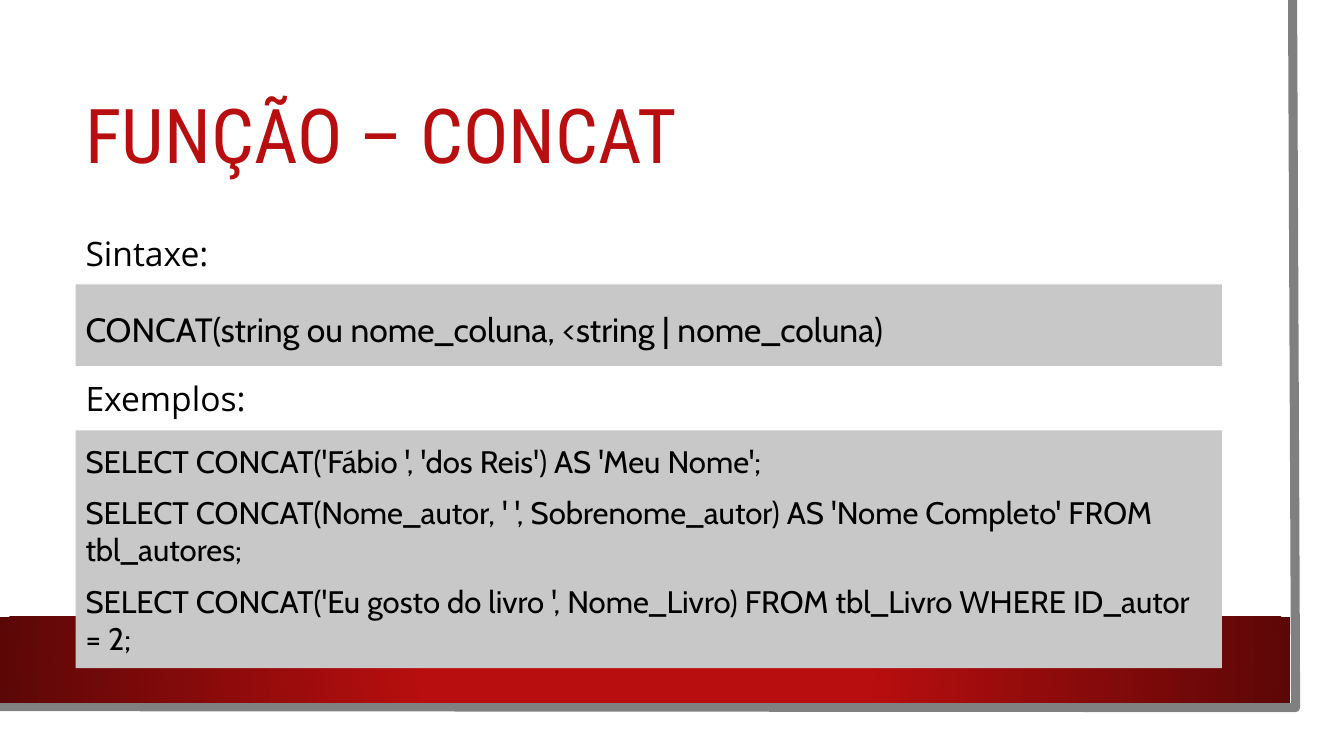
from lxml.etree import SubElement
from pptx import Presentation
from pptx.dml.color import RGBColor
from pptx.enum.shapes import MSO_SHAPE as Preset
from pptx.enum.text import MSO_ANCHOR as Anchor, MSO_AUTO_SIZE as AutoSize, PP_ALIGN as Align
from pptx.oxml import parse_xml
from pptx.oxml.ns import nsdecls, qn
from pptx.util import Inches, Pt

COLORS = {"red": "B80E0F", "dark red": "5C0707", "frame": "808080",
          "code box": "C8C8C8", "text": "000000"}
CELL = 0.25  # inches per grid column and row
LEFT, WIDTH = 3, 45.48  # content columns
LABEL_HEIGHT = 2.04


def cells(*counts):
    """Turn grid columns or rows into lengths."""
    return [Inches(count * CELL) for count in counts]


def color(name):
    return RGBColor.from_string(COLORS[name])


def write_text(shape, *lines, font, size, fill="text", align=Align.LEFT,
               anchor=Anchor.MIDDLE, spacing=1.0, before=0):
    frame = shape.text_frame
    frame.word_wrap = True
    frame.auto_size = AutoSize.NONE
    frame.vertical_anchor = anchor
    for index, line in enumerate(lines):
        paragraph = frame.add_paragraph() if index else frame.paragraphs[0]
        paragraph.alignment = align
        paragraph.line_spacing = spacing
        paragraph.space_before = Pt(before)
        run = paragraph.add_run()
        run.text = line
        run.font.name = font
        run.font.size = Pt(size)
        run.font.color.rgb = color(fill)


def add_frame_edge(slide):
    """Draw the grey line down the right side and along the bottom."""
    builder = slide.shapes.build_freeform(*cells(51.28, 0))
    builder.add_line_segments([cells(51.4, 28.08), cells(-0.12, 28.04)], close=False)
    edge = builder.convert_to_shape()
    edge.shadow.inherit = False
    edge.fill.background()
    edge.line.color.rgb = color("frame")
    edge.line.width = Pt(6.5)


def add_box(slide, left, top, width, height):
    box = slide.shapes.add_shape(Preset.RECTANGLE, *cells(left, top, width, height))
    box.shadow.inherit = False
    box.line.fill.background()
    return box


def add_band(slide):
    """Add the bottom band, shaded from its centre outwards."""
    band = add_box(slide, 0, 24.48, 51.2, 3.4)
    gradient = parse_xml(f'<a:gradFill {nsdecls("a")} rotWithShape="1"><a:gsLst/>'
                         '<a:path path="circle"><a:fillToRect l="50000" t="50000" '
                         'r="50000" b="50000"/></a:path></a:gradFill>')
    for percent, name in ((34, "red"), (100, "dark red")):
        stop = SubElement(gradient[0], qn("a:gs"), pos=str(percent * 1000))
        SubElement(stop, qn("a:srgbClr"), val=COLORS[name])
    band._element.spPr.find(qn("a:prstGeom")).addnext(gradient)


def add_label(slide, top, text):
    label = slide.shapes.add_textbox(*cells(LEFT, top, WIDTH, LABEL_HEIGHT))
    write_text(label, text, font="Open Sans", size=24, align=Align.JUSTIFY,
               anchor=Anchor.TOP, spacing=Pt(32))


def add_code(slide, top, height, *lines, size, spacing=1.0):
    box = add_box(slide, LEFT, top, WIDTH, height)
    box.fill.solid()
    box.fill.fore_color.rgb = color("code box")
    write_text(box, *lines, font="Cabin", size=size, spacing=spacing, before=10)


def set_title(slide, text):
    title = slide.shapes.title
    title.left, title.top, title.width, title.height = cells(LEFT, 3, WIDTH, 5.04)
    write_text(title, text, font="Roboto Condensed", size=54, fill="red", spacing=0.9)


def main():
    presentation = Presentation()
    presentation.slide_width = Inches(13.33)
    presentation.slide_height = Inches(7.5)
    slide = presentation.slides.add_slide(presentation.slide_layouts.get_by_name("Title Only"))
    add_frame_edge(slide)
    add_band(slide)
    set_title(slide, "FUNÇÃO – CONCAT")
    add_label(slide, 8.88, "Sintaxe:")
    add_code(slide, 11.28, 3.24, "CONCAT(string ou nome_coluna, <string | nome_coluna)",
             size=24, spacing=1.2)
    add_label(slide, 14.64, "Exemplos:")
    add_code(slide, 17.08, 9.44,
             "SELECT CONCAT('Fábio ', 'dos Reis') AS 'Meu Nome';",
             "SELECT CONCAT(Nome_autor, ' ', Sobrenome_autor) AS 'Nome Completo' FROM tbl_autores;",
             "SELECT CONCAT('Eu gosto do livro ', Nome_Livro) FROM tbl_Livro WHERE ID_autor = 2;",
             size=22.2)
    presentation.save("out.pptx")


if __name__ == "__main__":
    main()
